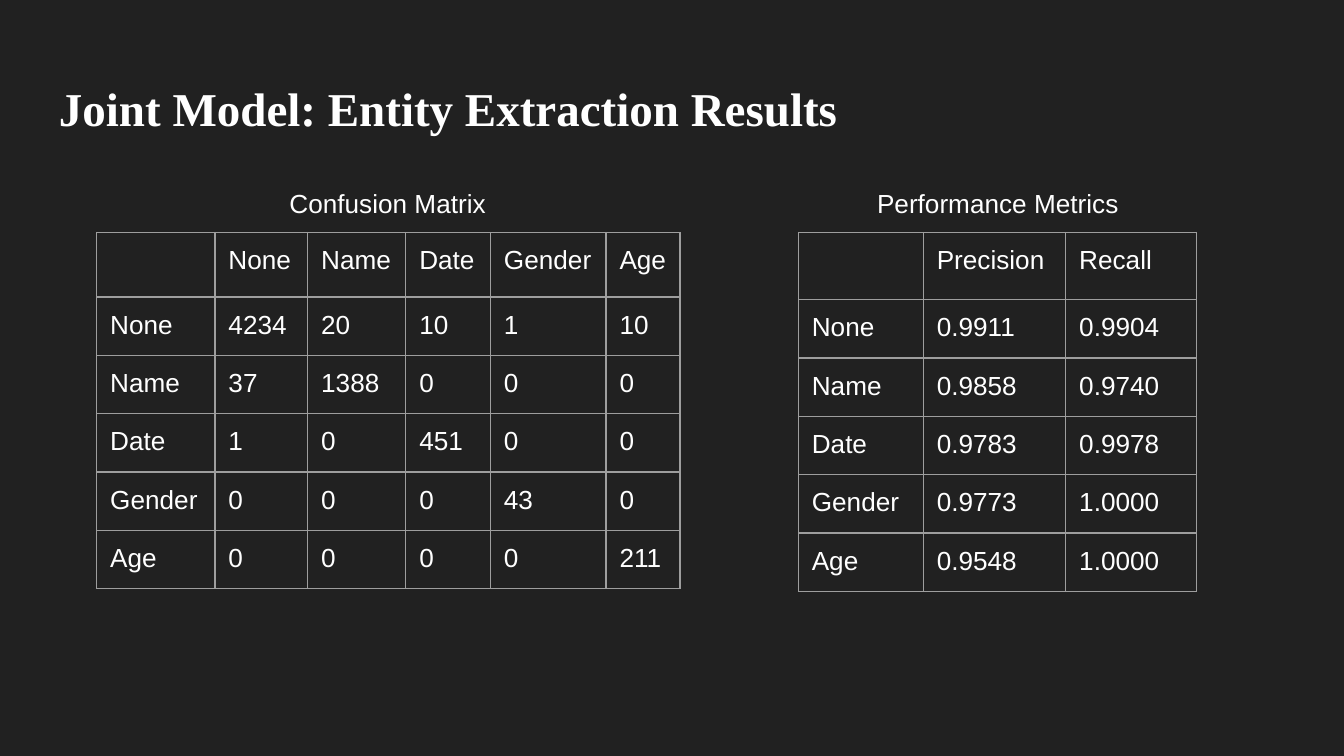
from lxml.etree import SubElement
from pptx import Presentation
from pptx.dml.color import RGBColor
from pptx.enum.text import MSO_ANCHOR, PP_ALIGN
from pptx.oxml.ns import qn
from pptx.util import Inches, Pt

theme = {
    "back": RGBColor.from_string("212121"),
    "line": "9E9E9E",
    "rule": Pt(0.75),
    "title": {"name": "Times New Roman", "size": Pt(25.2), "bold": True},
    "body": {"name": "Arial", "size": Pt(14), "bold": False},
    "text": RGBColor.from_string("FFFFFF"),
}


def write(frame, text, style, align=PP_ALIGN.LEFT):
    para = frame.paragraphs[0]
    para.alignment = align
    run = para.add_run()
    run.text = text
    for key, value in theme[style].items():
        setattr(run.font, key, value)
    run.font.color.rgb = theme["text"]


def add_label(area, text, style, align):
    frame = slide.shapes.add_textbox(*map(Inches, area)).text_frame
    form = {"word_wrap": True, "vertical_anchor": MSO_ANCHOR.MIDDLE}
    form |= {f"margin_{side}": Inches(0.1) for side in ("left", "right", "top", "bottom")}
    for key, value in form.items():
        setattr(frame, key, value)
    write(frame, text, style, align)


# Slide (16:9) and background
deck = Presentation()
deck.slide_width, deck.slide_height = Inches(10), Inches(10 * 9 / 16)
slide = deck.slides.add_slide(deck.slide_layouts[6])
slide.background.fill.solid()
slide.background.fill.fore_color.rgb = theme["back"]

# Title and captions
add_label((0.34, 0.49, 9.32, 0.63), "Joint Model: Entity Extraction Results", "title", PP_ALIGN.LEFT)
add_label((1.37, 1.29, 3.03, 0.44), "Confusion Matrix", "body", PP_ALIGN.CENTER)
add_label((6.37, 1.29, 2.11, 0.44), "Performance Metrics", "body", PP_ALIGN.CENTER)

# Table data: left edge, header height, column widths, rows
names = ["None", "Name", "Date", "Gender", "Age"]
counts = [
    [4234, 20, 10, 1, 10],
    [37, 1388, 0, 0, 0],
    [1, 0, 451, 0, 0],
    [0, 0, 0, 43, 0],
    [0, 0, 0, 0, 211],
]
scores = [
    ["0.9911", "0.9904"],
    ["0.9858", "0.9740"],
    ["0.9783", "0.9978"],
    ["0.9773", "1.0000"],
    ["0.9548", "1.0000"],
]
tables = [
    (0.72, 0.48, [0.88, 0.69, 0.73, 0.63, 0.86, 0.55], names, counts),
    (5.94, 0.5, [0.93, 1.06, 0.97], ["Precision", "Recall"], scores),
]
top, step = 1.73, 0.43

# Tables
for left, head, widths, heads, data in tables:
    rows = [["", *heads]] + [[name, *line] for name, line in zip(names, data)]
    tall = [head] + [step] * len(data)
    area = map(Inches, (left, top, sum(widths), sum(tall)))
    table = slide.shapes.add_table(len(rows), len(widths), *area).table
    table.first_row = table.horz_banding = False
    for col, width in zip(table.columns, widths):
        col.width = Inches(width)
    for row, height, values in zip(table.rows, tall, rows):
        row.height = Inches(height)
        for cell, value in zip(row.cells, values):
            for side in ("left", "right", "top", "bottom"):
                setattr(cell, f"margin_{side}", Inches(0.1))
            if value != "":
                write(cell.text_frame, str(value), "body")
            else:
                # The empty corner takes the body size, so the row stays low
                size = str(int(theme["body"]["size"].pt * 100))
                SubElement(cell.text_frame.paragraphs[0]._p, qn("a:endParaRPr"), sz=size)
            # Borders come before the fill in the cell properties
            props = cell._tc.get_or_add_tcPr()
            for tag in ("a:lnL", "a:lnR", "a:lnT", "a:lnB"):
                edge = SubElement(props, qn(tag), w=str(theme["rule"]))
                fill = SubElement(edge, qn("a:solidFill"))
                SubElement(fill, qn("a:srgbClr"), val=theme["line"])
            cell.fill.background()

deck.save("out.pptx")
